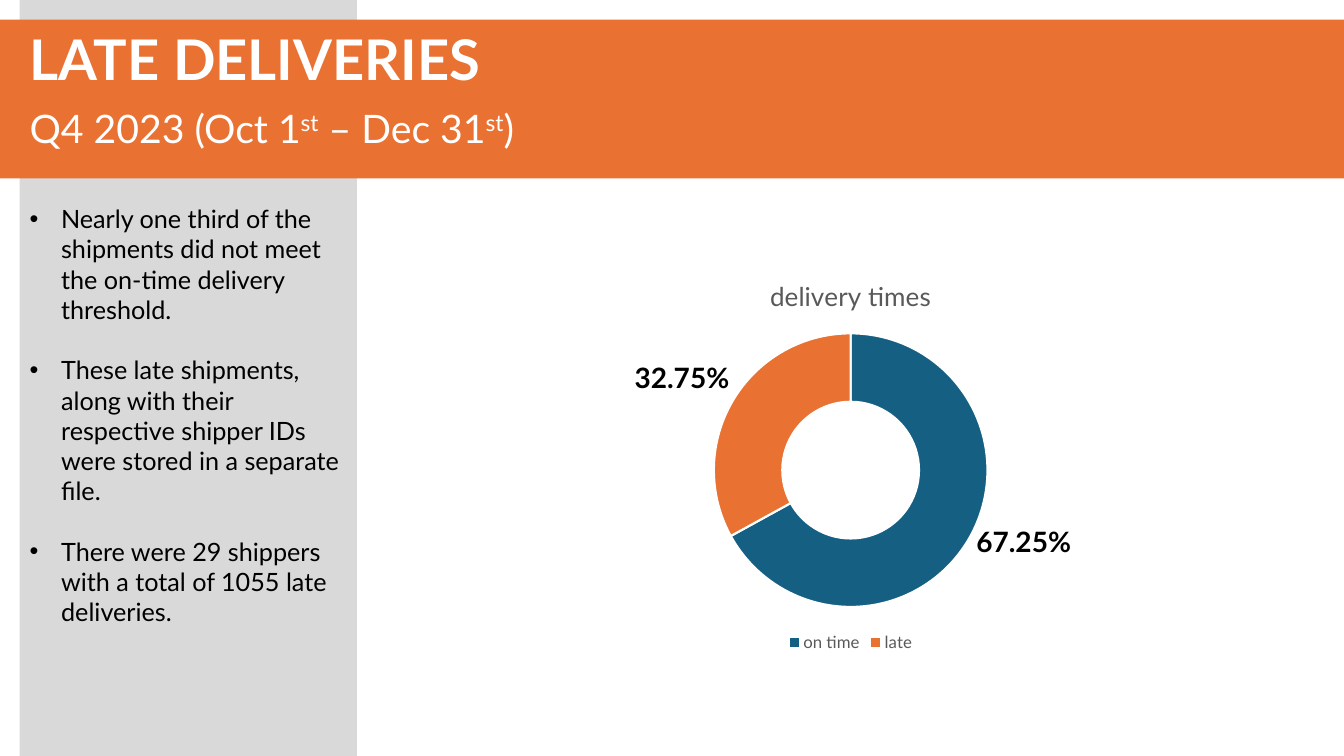
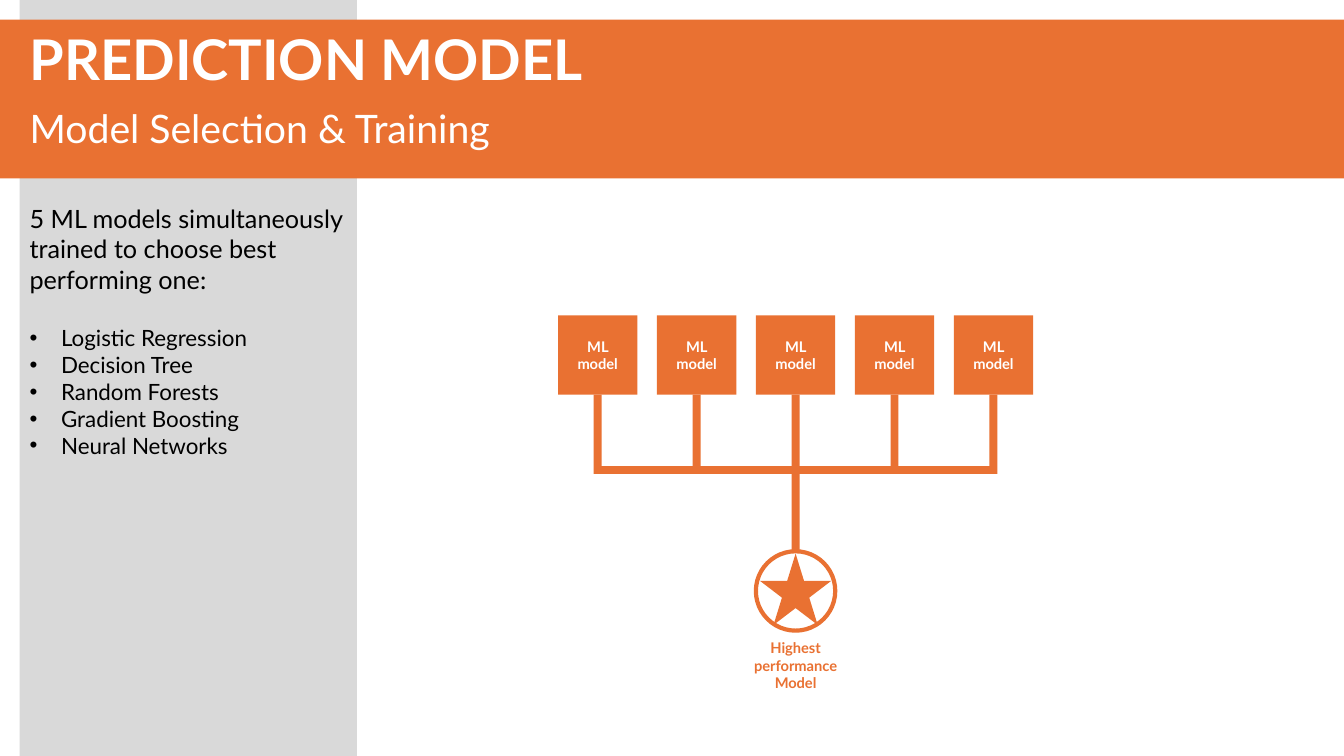
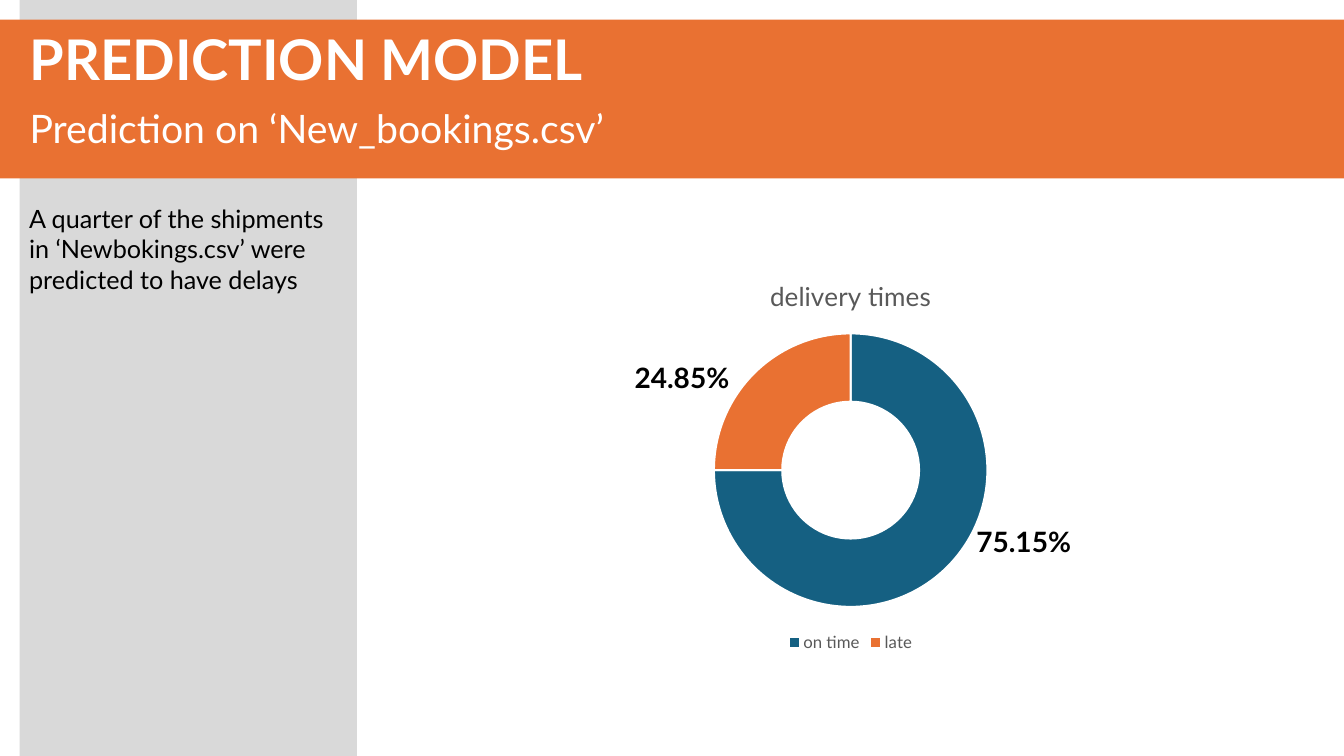
from lxml import etree
from pptx import Presentation
from pptx.chart.data import CategoryChartData
from pptx.dml.color import RGBColor
from pptx.enum.chart import XL_CHART_TYPE, XL_LEGEND_POSITION
from pptx.enum.shapes import MSO_SHAPE
from pptx.enum.text import MSO_ANCHOR, MSO_AUTO_SIZE, PP_ALIGN
from pptx.oxml.ns import qn
from pptx.util import Pt

RECTANGLE, OVAL, STAR = MSO_SHAPE.RECTANGLE, MSO_SHAPE.OVAL, MSO_SHAPE.STAR_5_POINT
CENTER, LEFT = PP_ALIGN.CENTER, PP_ALIGN.LEFT
TOP, MIDDLE = MSO_ANCHOR.TOP, MSO_ANCHOR.MIDDLE
DOUGHNUT, LEGEND_BOTTOM = XL_CHART_TYPE.DOUGHNUT, XL_LEGEND_POSITION.BOTTOM

ORANGE = RGBColor(0xE9, 0x71, 0x32)
BLUE = RGBColor(0x15, 0x60, 0x82)
LIGHT_GRAY = RGBColor(0xD9, 0xD9, 0xD9)
DARK_GRAY = RGBColor(0x59, 0x59, 0x59)
BLACK = RGBColor(0, 0, 0)
WHITE = RGBColor(0xFF, 0xFF, 0xFF)

FONT = "Lato"
SLIDE_WIDTH, SLIDE_HEIGHT = 960, 540
MARGIN = 14.1
SIDEBAR_WIDTH = 240.9
BAND_HEIGHT = 113.4
TITLE_HEIGHT = 57
NOTES_TOP = 141.8
NOTE_GAP = 21.6
BULLET_INDENT = 22.5
CHART_BOX = (394.9, 185, 425.5, 283.7)
DIAGRAM_BOX = (398.6, 225.2, 339.4, 273)


def style_font(font, size, color, bold=False):
    font.name, font.size, font.bold = FONT, Pt(size), bold
    font.color.rgb = color


def add_block(slide, box, fill=None, outline=None, preset=RECTANGLE):
    block = slide.shapes.add_shape(preset, *map(Pt, box))
    block.shadow.inherit = False
    if fill is None:
        block.fill.background()
    else:
        block.fill.solid()
        block.fill.fore_color.rgb = fill
    if outline is None:
        block.line.fill.background()
    else:
        block.line.color.rgb = outline
        block.line.width = Pt(3)
    return block


def write(frame, text, size, color, bold=False, align=LEFT, anchor=TOP):
    frame.word_wrap = True
    frame.vertical_anchor = anchor
    frame.text = text
    paragraph = frame.paragraphs[0]
    paragraph.alignment = align
    style_font(paragraph.font, size, color, bold)
    return paragraph


def add_text(slide, box, *args, **style):
    frame = slide.shapes.add_textbox(*map(Pt, box)).text_frame
    return write(frame, *args, **style)


def add_header(slide, title_text, subtitle_parts):
    """Draw sidebar, band, title and subtitle; odd subtitle parts are superscript."""
    title = slide.shapes.title
    sidebar = add_block(slide, (MARGIN, 0, SIDEBAR_WIDTH, SLIDE_HEIGHT), LIGHT_GRAY)
    band = add_block(slide, (0, MARGIN, SLIDE_WIDTH, BAND_HEIGHT), ORANGE)
    for backdrop in (sidebar, band):
        title.element.addprevious(backdrop.element)

    text_width = SLIDE_WIDTH - MARGIN
    title.left, title.top = Pt(MARGIN), Pt(MARGIN)
    title.width, title.height = Pt(text_width), Pt(TITLE_HEIGHT)
    title.text_frame.auto_size = MSO_AUTO_SIZE.NONE
    write(title.text_frame, title_text, 40, WHITE, bold=True)

    subtitle = add_text(slide, (MARGIN, MARGIN + TITLE_HEIGHT, text_width, 41),
                        "", 28, WHITE)
    for index, part in enumerate(subtitle_parts):
        run = subtitle.add_run()
        run.text = part
        if index % 2:
            run.font._element.set("baseline", "30000")


def add_bullet(paragraph):
    properties = paragraph._p.get_or_add_pPr()
    properties.set("marL", str(Pt(BULLET_INDENT)))
    properties.set("indent", str(-Pt(BULLET_INDENT)))
    etree.SubElement(properties, qn("a:buFont"), typeface="Arial")
    etree.SubElement(properties, qn("a:buChar"), char="•")


def add_notes(slide, notes, height, left=MARGIN):
    """Fill the sidebar with (text, size, bulleted, space after) entries."""
    box = (left, NOTES_TOP, SIDEBAR_WIDTH, height)
    frame = slide.shapes.add_textbox(*map(Pt, box)).text_frame
    frame.word_wrap = True
    for index, (text, size, bulleted, gap) in enumerate(notes):
        paragraph = frame.add_paragraph() if index else frame.paragraphs[0]
        paragraph.text = text
        paragraph.space_after = Pt(gap)
        style_font(paragraph.font, size, BLACK)
        if bulleted:
            add_bullet(paragraph)


def add_delivery_chart(slide, box, shares, late_label, on_time_label):
    """Draw the doughnut of (on time, late) shares with a label beside each."""
    left, top, _, _ = box
    data = CategoryChartData(number_format="General")
    data.categories = ["on time", "late"]
    data.add_series("delivery times", shares)
    chart = slide.shapes.add_chart(DOUGHNUT, *map(Pt, box), data).chart
    style_font(chart.font, 10, BLACK)

    chart.has_title = True
    chart.chart_title.include_in_layout = False
    heading = chart.chart_title.text_frame
    heading.text = "delivery times"
    style_font(heading.paragraphs[0].font, 18.6, DARK_GRAY)

    chart.has_legend = True
    chart.legend.position = LEGEND_BOTTOM
    chart.legend.include_in_layout = False
    style_font(chart.legend.font, 12, DARK_GRAY)

    plot = chart.plots[0]
    plot.vary_by_categories = True
    plot._element.find(qn("c:holeSize")).set("val", "75")
    for index, color in enumerate((BLUE, ORANGE)):
        segment = plot.series[0].points[index].format
        segment.fill.solid()
        segment.fill.fore_color.rgb = color
        segment.line.color.rgb = WHITE
        segment.line.width = Pt(1.5)

    for label, dx, dy in ((late_label, 50.8, 69.2), (on_time_label, 294.9, 186)):
        add_text(slide, (left + dx, top + dy, 82.8, 31.5), label,
                 20, BLACK, bold=True, align=CENTER)


def add_model_diagram(slide, box, model_count=5):
    """Draw a row of models joined by a bus that leads down to the winner."""
    left, top, width, _ = box
    side, bar, stem = 56.7, 5.7, 56.7
    pitch = (width - side) / (model_count - 1)
    middle = left + width / 2
    bus_top = top + side + stem - bar
    trunk_top = bus_top + bar
    badge_top = top + 168.6

    for index in range(model_count):
        model_left = left + index * pitch
        model = add_block(slide, (model_left, top, side, side), ORANGE)
        write(model.text_frame, "ML model", 10.5, WHITE, bold=True,
              align=CENTER, anchor=MIDDLE)
        add_block(slide, (model_left + (side - bar) / 2, top + side, bar, stem), ORANGE)
    add_block(slide, (left + side / 2, bus_top, width - side, bar), ORANGE)
    add_block(slide, (middle - bar / 2, trunk_top, bar, badge_top - trunk_top), ORANGE)

    add_block(slide, (middle - side / 2, badge_top, side, side),
              outline=ORANGE, preset=OVAL)
    star = 51
    add_block(slide, (middle - star / 2, badge_top + 1.6, star, star),
              ORANGE, preset=STAR)
    add_text(slide, (middle - 38.2, badge_top + 59, 76.4, 45.4),
             "Highest performance Model", 10.5, ORANGE, bold=True, align=CENTER)


def build_late_deliveries(slide):
    add_header(slide, "LATE DELIVERIES",
               ("Q4 2023 (Oct 1", "st", " – Dec 31", "st", ")"))
    add_delivery_chart(slide, CHART_BOX, (67, 33), "32.75%", "67.25%")
    findings = (
        "Nearly one third of the shipments did not meet the on-time delivery threshold.",
        "These late shipments, along with their respective shipper IDs "
        "were stored in a separate file.",
        "There were 29 shippers with a total of 1055 late deliveries.",
    )
    add_notes(slide, [(text, 18, True, NOTE_GAP) for text in findings], 291)


def build_model_selection(slide):
    add_header(slide, "PREDICTION MODEL", ("Model Selection & Training",))
    intro = "5 ML models simultaneously trained to choose best performing one:"
    models = ("Logistic Regression", "Decision Tree", "Random Forests",
              "Gradient Boosting", "Neural Networks")
    add_notes(slide, [(intro, 18, False, NOTE_GAP)]
              + [(name, 16, True, 0) for name in models], 191.5)
    add_model_diagram(slide, DIAGRAM_BOX)


def build_prediction(slide):
    add_header(slide, "PREDICTION MODEL", ("Prediction on ‘New_bookings.csv’",))
    add_delivery_chart(slide, CHART_BOX, (75, 25), "24.85%", "75.15%")
    summary = ("A quarter of the shipments in ‘Newbokings.csv’ "
               "were predicted to have delays")
    add_notes(slide, [(summary, 18, False, 0)], 72.7, left=13.7)


def main():
    deck = Presentation()
    deck.slide_width, deck.slide_height = Pt(SLIDE_WIDTH), Pt(SLIDE_HEIGHT)
    title_only = deck.slide_layouts[5]
    for build in (build_late_deliveries, build_model_selection, build_prediction):
        build(deck.slides.add_slide(title_only))
    deck.save("out.pptx")


if __name__ == "__main__":
    main()
